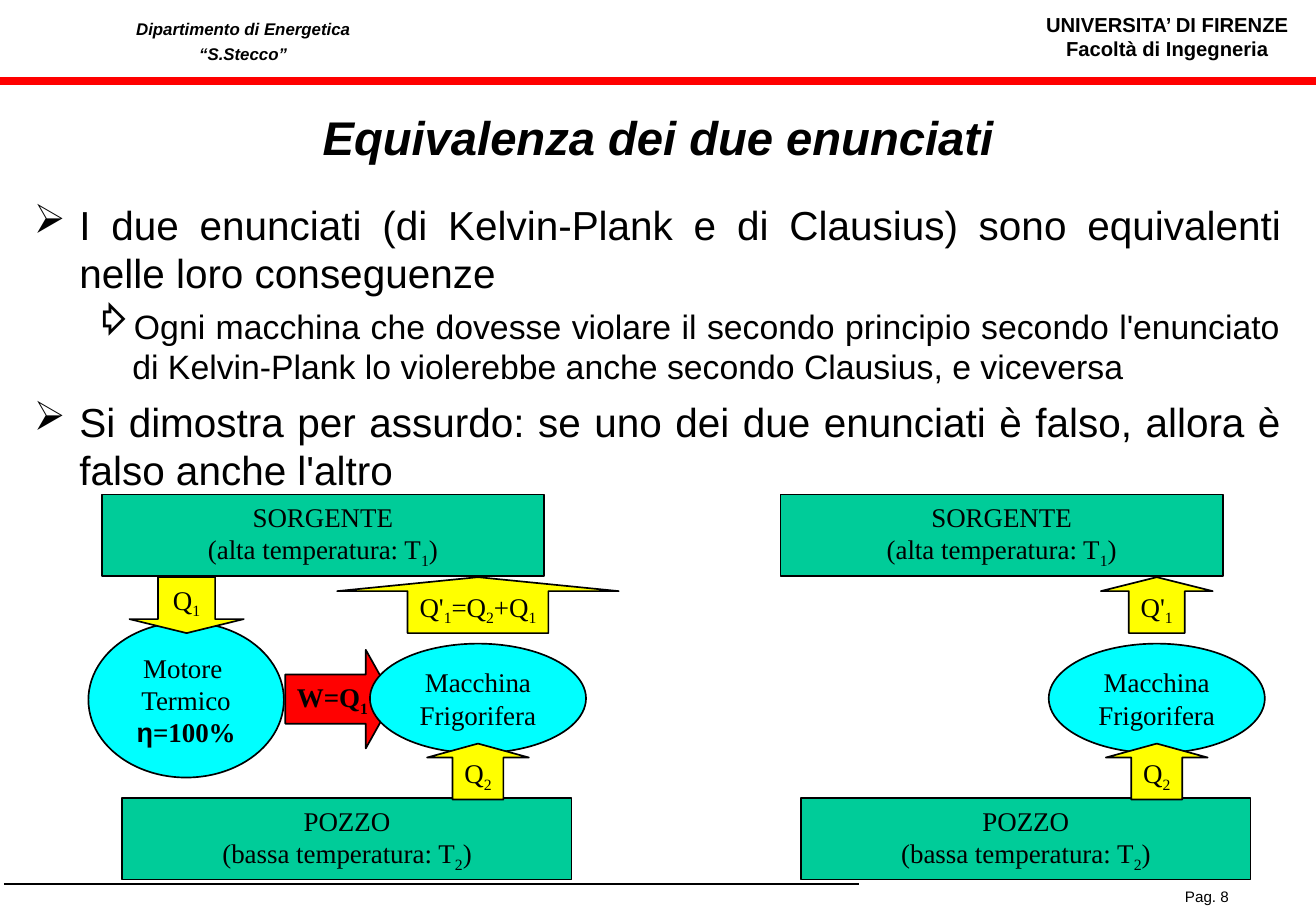
from lxml import etree
from pptx import Presentation
from pptx.dml.color import RGBColor
from pptx.enum.shapes import MSO_CONNECTOR, MSO_SHAPE
from pptx.enum.text import MSO_ANCHOR, MSO_AUTO_SIZE, PP_ALIGN
from pptx.oxml.ns import qn
from pptx.util import Cm, Pt

CENTER, JUSTIFY, LEFT = PP_ALIGN.CENTER, PP_ALIGN.JUSTIFY, PP_ALIGN.LEFT
TOP, MIDDLE = MSO_ANCHOR.TOP, MSO_ANCHOR.MIDDLE
RECTANGLE, OVAL = MSO_SHAPE.RECTANGLE, MSO_SHAPE.OVAL
UP, DOWN, RIGHT = MSO_SHAPE.UP_ARROW, MSO_SHAPE.DOWN_ARROW, MSO_SHAPE.RIGHT_ARROW
STRAIGHT = MSO_CONNECTOR.STRAIGHT
NO_AUTOFIT = MSO_AUTO_SIZE.NONE

BLACK, RED, ARROW_RED = "000000", "FF0000", "FF0101"
GREEN, CYAN, YELLOW = "00CC99", "00FFFF", "FFFF00"
SANS, SERIF = "Arial", "Times New Roman"


def color(hex_code):
    return RGBColor.from_string(hex_code)


def add_run(paragraph, text, size=16, font=SERIF, bold=False, italic=False, subscript=False):
    run = paragraph.add_run()
    run.text = text
    run.font.size, run.font.name = Pt(size), font
    run.font.bold, run.font.italic = bold, italic
    run.font.color.rgb = color(BLACK)
    if subscript:
        run._r.get_or_add_rPr().set("baseline", "-25000")


def write(frame, text, align=CENTER, anchor=MIDDLE, wrap=True, line_points=None, **style):
    """Each line is a paragraph; the character after "_" is a subscript."""
    frame.word_wrap, frame.auto_size = wrap, NO_AUTOFIT
    frame.vertical_anchor = anchor
    frame.margin_left = frame.margin_right = Cm(0.25)
    frame.margin_top = frame.margin_bottom = Cm(0.13)
    for index, line in enumerate(text.split("\n")):
        paragraph = frame.add_paragraph() if index else frame.paragraphs[0]
        paragraph.alignment = align
        if line_points:
            paragraph.line_spacing = Pt(line_points)
        plain, *indexed = line.split("_")
        add_run(paragraph, plain, **style)
        for piece in indexed:
            add_run(paragraph, piece[0], subscript=True, **style)
            if piece[1:]:
                add_run(paragraph, piece[1:], **style)


def add_label(slide, text, left, top, width, height, **style):
    label = slide.shapes.add_textbox(Cm(left), Cm(top), Cm(width), Cm(height))
    write(label.text_frame, text, anchor=TOP, font=SANS, **style)


def add_rule(slide, left, right, y, line_color, points):
    rule = slide.shapes.add_connector(STRAIGHT, Cm(left), Cm(y), Cm(right), Cm(y))
    rule.line.color.rgb, rule.line.width = color(line_color), Pt(points)
    etree.SubElement(rule._element.spPr, qn("a:effectLst"))


def add_part(slide, kind, text, left, top, width, height, fill, head=None, **style):
    part = slide.shapes.add_shape(kind, Cm(left), Cm(top), Cm(width), Cm(height))
    part.shadow.inherit = False
    part.fill.solid()
    part.fill.fore_color.rgb = color(fill)
    part.line.color.rgb, part.line.width = color(BLACK), Pt(1)
    if head:
        part.adjustments[0], part.adjustments[1] = 0.5, head
    write(part.text_frame, text, wrap=head is None, **style)
    return part


def add_frame(slide, width):
    # Header and footer
    add_label(slide, "UNIVERSITA’ DI FIRENZE\nFacoltà di Ingegneria",
              21.59, 0.13, 5.66, 1.27, size=12, bold=True, wrap=False)
    add_label(slide, "Dipartimento di Energetica “S.Stecco”",
              2.06, 0.15, 6.05, 1.3, size=10, bold=True, italic=True, line_points=15)
    add_rule(slide, 0, width, 1.7, RED, 4.5)
    add_rule(slide, 0.08, 17.96, 18.49, BLACK, 1)
    add_label(slide, "Pag. 8", 24.54, 18.42, 2.97, 0.63, size=9, align=LEFT)


def add_title(slide, text, left, top, width, height):
    title = slide.shapes.title
    title.left, title.top, title.width, title.height = map(Cm, (left, top, width, height))
    write(title.text_frame, text, size=28, font=SANS, bold=True, italic=True)


def add_statements(slide, statements, left, top, width, height):
    # Level: bullet, left margin, hanging indent, size, space before
    levels = (("➢", 0.95, 0.95, 24, 6), ("⇨", 2.06, 0.79, 20, 5))
    box = slide.shapes.add_textbox(Cm(left), Cm(top), Cm(width), Cm(height))
    text = "\n".join(statement for _, statement in statements)
    write(box.text_frame, text, align=JUSTIFY, anchor=TOP, font=SANS)
    for index, paragraph in enumerate(box.text_frame.paragraphs):
        level = statements[index][0]
        bullet, margin, hanging, size, before = levels[level]
        paragraph.level = level
        properties = paragraph._p.get_or_add_pPr()
        properties.set("marL", str(Cm(margin)))
        properties.set("indent", str(-Cm(hanging)))
        bullet_color = etree.SubElement(properties, qn("a:buClr"))
        etree.SubElement(bullet_color, qn("a:srgbClr"), val=BLACK)
        etree.SubElement(properties, qn("a:buChar"), char=bullet)
        paragraph.space_before = Pt(before if index else 0)
        paragraph.runs[0].font.size = Pt(size)


def add_engine(slide, left, top):
    # Heat engine, its heat input and its work output
    engine = add_part(slide, OVAL, "Motore \nTermico", left - 0.28, top + 2.67, 4.09, 3.25, CYAN)
    efficiency = engine.text_frame.add_paragraph()
    efficiency.alignment = CENTER
    add_run(efficiency, "η", font=SANS, bold=True)
    add_run(efficiency, "=100%", bold=True)
    add_part(slide, DOWN, "Q_1", left + 0.58, top + 1.73, 2.39, 1.17, YELLOW, head=0.25)
    add_part(slide, RIGHT, "W=Q_1", left + 3.84, top + 3.25, 2.26, 2.06, ARROW_RED,
             head=0.28, bold=True)


def add_cycle(slide, left, top, rejected_heat, rejected_width, with_engine=False):
    # Reservoirs
    add_part(slide, RECTANGLE, "SORGENTE\n(alta temperatura: T_1)", left, top, 9.25, 1.7, GREEN)
    add_part(slide, RECTANGLE, "POZZO\n(bassa temperatura: T_2)",
             left + 0.43, top + 6.35, 9.4, 1.7, GREEN)
    if with_engine:
        add_engine(slide, left, top)
    # Refrigerator and its heat flows, on one axis
    axis = left + 7.87
    for kind, text, offset, width, height, fill, head in (
        (OVAL, "Macchina Frigorifera", 3.12, 4.52, 2.29, CYAN, None),
        (UP, "Q_2", 5.21, 2.13, 1.17, YELLOW, 0.25),
        (UP, rejected_heat, 1.73, rejected_width, 1.17, YELLOW, 0.25),
    ):
        add_part(slide, kind, text, axis - width / 2, top + offset, width, height, fill, head)


def main():
    width = 27.53
    deck = Presentation()
    deck.slide_width, deck.slide_height = Cm(width), Cm(19.05)
    slide = deck.slides.add_slide(deck.slide_layouts[5])
    add_frame(slide, width)
    add_title(slide, "Equivalenza dei due enunciati", 0.76, 1.9, 26.01, 1.9)
    add_statements(slide, (
        (0, "I due enunciati (di Kelvin-Plank e di Clausius) sono equivalenti "
            "nelle loro conseguenze"),
        (1, "Ogni macchina che dovesse violare il secondo principio secondo l'enunciato "
            "di Kelvin-Plank lo violerebbe anche secondo Clausius, e viceversa"),
        (0, "Si dimostra per assurdo: se uno dei due enunciati è falso, allora è "
            "falso anche l'altro"),
    ), 0.46, 4.05, 26.59, 6.25)
    add_cycle(slide, 2.13, 10.34, "Q'_1=Q_2+Q_1", 5.89, with_engine=True)
    add_cycle(slide, 16.33, 10.34, "Q'_1", 2.34)
    deck.save("out.pptx")


if __name__ == "__main__":
    main()
